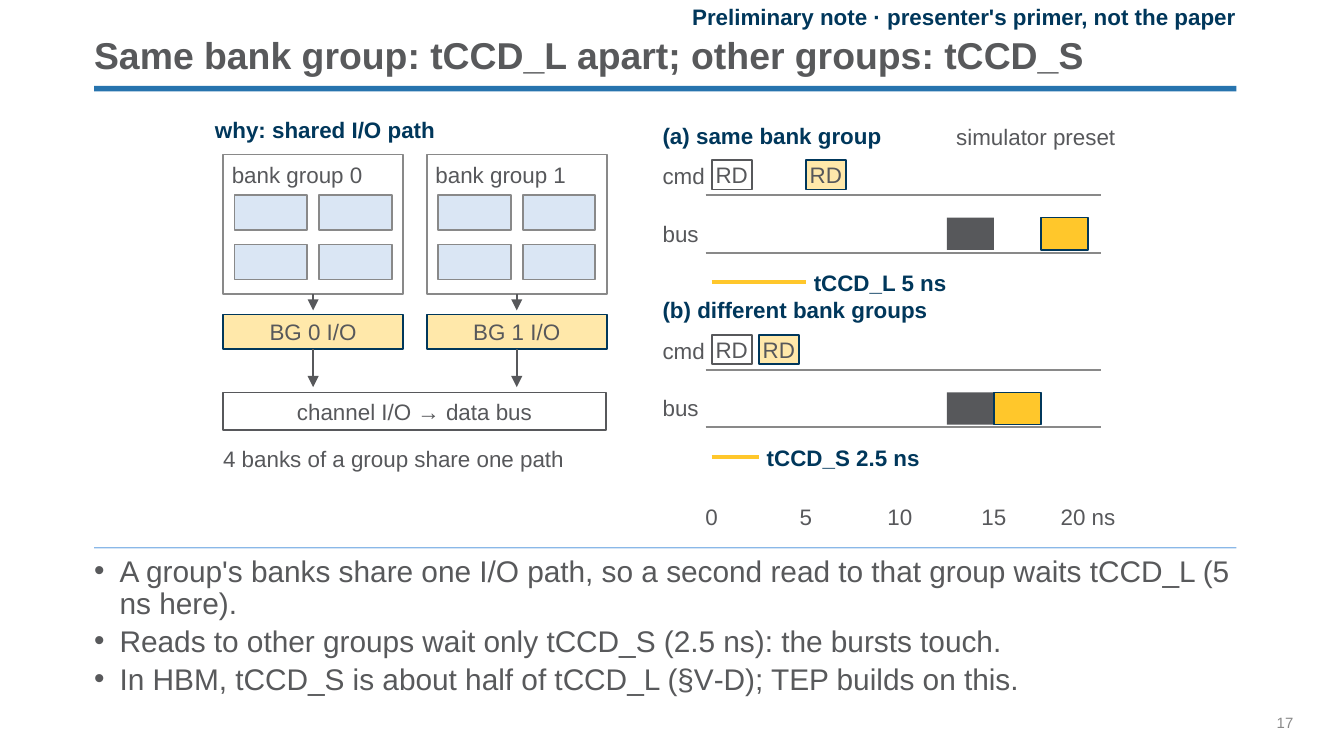
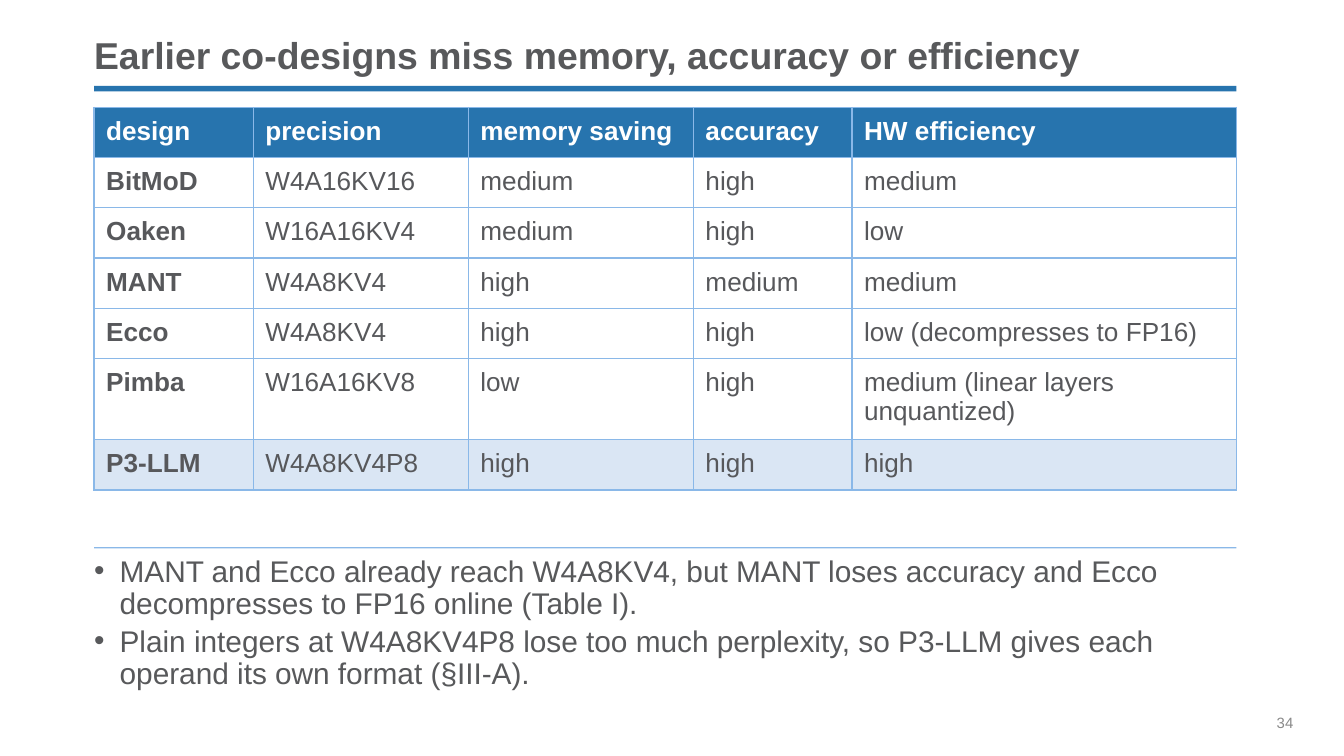
from lxml import etree
from pptx import Presentation
from pptx.dml.color import RGBColor
from pptx.enum.shapes import MSO_CONNECTOR, MSO_SHAPE
from pptx.enum.text import MSO_ANCHOR, MSO_AUTO_SIZE, PP_ALIGN
from pptx.oxml.ns import qn
from pptx.util import Inches, Pt

RECTANGLE = MSO_SHAPE.RECTANGLE
STRAIGHT = MSO_CONNECTOR.STRAIGHT
LEFT, CENTER, RIGHT = PP_ALIGN.LEFT, PP_ALIGN.CENTER, PP_ALIGN.RIGHT
TOP, MIDDLE, BOTTOM = MSO_ANCHOR.TOP, MSO_ANCHOR.MIDDLE, MSO_ANCHOR.BOTTOM
GROW, FIXED = MSO_AUTO_SIZE.SHAPE_TO_FIT_TEXT, MSO_AUTO_SIZE.NONE

WHITE = RGBColor(0xFF, 0xFF, 0xFF)
BLUE = RGBColor(0x27, 0x74, 0xAE)
SKY = RGBColor(0x8A, 0xB8, 0xE8)
PALE = RGBColor(0xDA, 0xE6, 0xF4)
NAVY = RGBColor(0x00, 0x37, 0x5B)
GOLD = RGBColor(0xFF, 0xC7, 0x2B)
INK = RGBColor(0x58, 0x59, 0x5B)
SLATE = RGBColor(0x57, 0x58, 0x5B)
GRAY = RGBColor(0x89, 0x89, 0x89)
FONT = "Arial"

deck = Presentation()
deck.slide_width = Inches(10)
deck.slide_height = Inches(5.625)
COLUMN = deck.slide_width / 100
ROW = deck.slide_height / 56.25
MARGIN, CONTENT = 7, 85


def write(frame, lines, size=12, colour=SLATE, bold=False, align=LEFT,
          anchor=MIDDLE, wrap=False):
    frame.margin_left = frame.margin_right = 0
    frame.margin_top = frame.margin_bottom = 0
    frame.vertical_anchor = anchor
    frame.word_wrap = wrap
    for index, line in enumerate(lines):
        para = frame.add_paragraph() if index else frame.paragraphs[0]
        para.alignment = align
        span = para.add_run()
        span.text = line
        span.font.name = FONT
        span.font.size = Pt(size)
        span.font.bold = bold
        span.font.color.rgb = colour


def add_box(page, left, top, width, height, fill=None, line=None, weight=1,
            opacity=100, text=None):
    box = page.shapes.add_shape(RECTANGLE, int(left * COLUMN), int(top * ROW),
                                int(width * COLUMN), int(height * ROW))
    box.shadow.inherit = False
    if fill is None:
        box.fill.background()
    else:
        box.fill.solid()
        box.fill.fore_color.rgb = fill
    if opacity < 100:
        tint = box._element.spPr.find(".//" + qn("a:srgbClr"))
        etree.SubElement(tint, qn("a:alpha"), val=str(opacity * 1000))
    if line is None:
        box.line.fill.background()
    else:
        box.line.color.rgb = line
        box.line.width = Pt(weight)
    if text:
        write(box.text_frame, [text], align=CENTER)
    return box


contents = [
    (17, "Same bank group: tCCD_L apart; other groups: tCCD_S", [
        "A group's banks share one I/O path, so a second read to that group waits tCCD_L (5 ns here).",
        "Reads to other groups wait only tCCD_S (2.5 ns): the bursts touch.",
        "In HBM, tCCD_S is about half of tCCD_L (§V‑D); TEP builds on this.",
    ]),
    (34, "Earlier co-designs miss memory, accuracy or efficiency", [
        "MANT and Ecco already reach W4A8KV4, but MANT loses accuracy and Ecco decompresses to FP16 online (Table I).",
        "Plain integers at W4A8KV4P8 lose too much perplexity, so P3-LLM gives each operand its own format (§III‑A).",
    ]),
]

pages = []
for number, heading, points in contents:
    page = deck.slides.add_slide(deck.slide_layouts[1])
    pages.append(page)
    add_box(page, MARGIN, 6.4, CONTENT, 0.4, BLUE)
    add_box(page, MARGIN, 40.7, CONTENT, 0.1, SKY)

    title, body = page.shapes.title, page.placeholders[1]
    for holder, top, height in ((title, 2.2, 3.6), (body, 41.4, 10.6)):
        holder.left, holder.top = int(MARGIN * COLUMN), int(top * ROW)
        holder.width, holder.height = int(CONTENT * COLUMN), int(height * ROW)
    write(title.text_frame, [heading], 20, INK, True, anchor=BOTTOM, wrap=True)
    title.text_frame.auto_size = GROW
    title.text_frame.paragraphs[0].line_spacing = 0.9

    write(body.text_frame, points, 16, INK, anchor=TOP, wrap=True)
    body.text_frame.auto_size = FIXED
    for index, para in enumerate(body.text_frame.paragraphs):
        properties = para._p.get_or_add_pPr()
        properties.set("marL", str(Inches(0.19)))
        properties.set("indent", str(-Inches(0.19)))
        etree.SubElement(properties, qn("a:buFont"), typeface=FONT)
        etree.SubElement(properties, qn("a:buChar"), char="•")
        para.line_spacing = 0.9
        para.space_before = Pt(3 if index else 0)

    footer = page.shapes.add_textbox(int(95 * COLUMN), int(53.1 * ROW),
                                     int(5 * COLUMN), int(1.4 * ROW))
    write(footer.text_frame, [str(number)], 8, GRAY, anchor=TOP, wrap=True)

timing, comparison = pages

labels = [
    (42, 0.4, 50, 1.7, "Preliminary note · presenter's primer, not the paper", True, RIGHT),
    (16, 8.4, 20.3, 2.5, "why: shared I/O path", True, LEFT),
    (16.6, 32.9, 32.9, 2.5, "4 banks of a group share one path", False, LEFT),
    (66.5, 8.9, 16.5, 2.5, "simulator preset", False, RIGHT),
]
lines = []

for group in range(2):
    left = 16.6 + 15.15 * group
    middle = left + 6.7
    banks = add_box(timing, left, 11.5, 13.4, 10.4, line=GRAY)
    labels.append((left + 0.65, 11.7, 12.6, 2.5, f"bank group {group}", False, LEFT))
    for bank in range(4):
        add_box(timing, left + 0.85 + 6.3 * (bank % 2), 14.5 + 3.7 * (bank // 2),
                5.4, 2.6, PALE, GRAY)
    gate = add_box(timing, left, 23.4, 13.4, 2.6, GOLD, NAVY, opacity=40,
                   text=f"BG {group} I/O")
    lines.append((middle, 21.9, middle, 23.1, SLATE, 1, banks))
    lines.append((middle, 26, middle, 28.8, SLATE, 1, gate))
add_box(timing, 16.6, 29.2, 28.5, 2.8, WHITE, SLATE, text="channel I/O → data bus")

ORIGIN, NANOSECOND = 52.95, 1.4
BURST_START, BURST_LENGTH = 12.5, 2.5
cases = [
    ("(a) same bank group", 5, "tCCD_L 5 ns"),
    ("(b) different bank groups", 2.5, "tCCD_S 2.5 ns"),
]
for index, (heading, gap, spacing) in enumerate(cases):
    top = 8.8 + 13 * index
    second = ORIGIN + gap * NANOSECOND
    labels.append((49.3, top, 25.2, 2.5, heading, True, LEFT))
    for lane, offset in (("cmd", 3), ("bus", 7.3)):
        labels.append((49.3, top + offset, 3.9, 2.5, lane, False, LEFT))
        lines.append((52.5, top + offset + 2.7, 81.9, top + offset + 2.7, GRAY, 1, None))
    add_box(timing, ORIGIN, top + 3.1, 3, 2.2, WHITE, SLATE, text="RD")
    add_box(timing, second, top + 3.1, 3, 2.2, GOLD, NAVY, opacity=40, text="RD")
    burst = ORIGIN + BURST_START * NANOSECOND
    length = BURST_LENGTH * NANOSECOND
    add_box(timing, burst, top + 7.4, length, 2.4, SLATE)
    add_box(timing, burst + gap * NANOSECOND, top + 7.4, length, 2.4, GOLD, NAVY, 0.75)
    lines.append((ORIGIN, top + 12.2, second, top + 12.2, GOLD, 2, None))
    labels.append((second + 0.6, top + 11, 13.6, 2.5, spacing, True, LEFT))

for tick in range(0, 21, 5):
    text = "20 ns" if tick == 20 else str(tick)
    labels.append((ORIGIN + tick * NANOSECOND - 2.9, 37.2, 5.8, 2.5, text, False, CENTER))

for left, top, width, height, text, bold, align in labels:
    label = timing.shapes.add_textbox(int(left * COLUMN), int(top * ROW),
                                      int(width * COLUMN), int(height * ROW))
    write(label.text_frame, [text], colour=NAVY if bold else SLATE, bold=bold, align=align)

for start, top, end, bottom, colour, weight, source in lines:
    rule = timing.shapes.add_connector(STRAIGHT, int(start * COLUMN), int(top * ROW),
                                       int(end * COLUMN), int(bottom * ROW))
    rule.line.color.rgb = colour
    rule.line.width = Pt(weight)
    etree.SubElement(rule._element.spPr, qn("a:effectLst"))
    if source is not None:
        rule.begin_connect(source, 2)
        etree.SubElement(rule.line._get_or_add_ln(), qn("a:tailEnd"), type="triangle")

records = [
    ("design", "precision", "memory saving", "accuracy", "HW efficiency"),
    ("BitMoD", "W4A16KV16", "medium", "high", "medium"),
    ("Oaken", "W16A16KV4", "medium", "high", "low"),
    ("MANT", "W4A8KV4", "high", "medium", "medium"),
    ("Ecco", "W4A8KV4", "high", "high", "low (decompresses to FP16)"),
    ("Pimba", "W16A16KV8", "low", "high", "medium (linear layers unquantized)"),
    ("P3-LLM", "W4A8KV4P8", "high", "high", "high"),
]
widths = [11.85, 16, 16.75, 11.8, 28.6]
heights = [3.69] * 5 + [5.85, 3.69]
table = comparison.shapes.add_table(
    len(records), len(widths), int(MARGIN * COLUMN), int(8 * ROW),
    int(sum(widths) * COLUMN), int(sum(heights) * ROW)).table
table.horz_banding = False
for column, width in zip(table.columns, widths):
    column.width = int(width * COLUMN)
for row, height in zip(table.rows, heights):
    row.height = int(height * ROW)

fills = [BLUE] + [WHITE] * 5 + [PALE]
for row, record in enumerate(records):
    for column, text in enumerate(record):
        cell = table.cell(row, column)
        write(cell.text_frame, [text], 14, SLATE if row else WHITE,
              row == 0 or column == 0, anchor=TOP, wrap=True)
        cell.margin_left = cell.margin_right = Inches(0.09)
        cell.margin_top = cell.margin_bottom = Inches(0.07)
        properties = cell._tc.get_or_add_tcPr()
        for side in ("a:lnL", "a:lnR", "a:lnT", "a:lnB"):
            border = etree.SubElement(properties, qn(side), w=str(Pt(0.75)))
            paint = etree.SubElement(border, qn("a:solidFill"))
            etree.SubElement(paint, qn("a:srgbClr"), val=str(SKY))
        cell.fill.solid()
        cell.fill.fore_color.rgb = fills[row]

deck.save("out.pptx")
